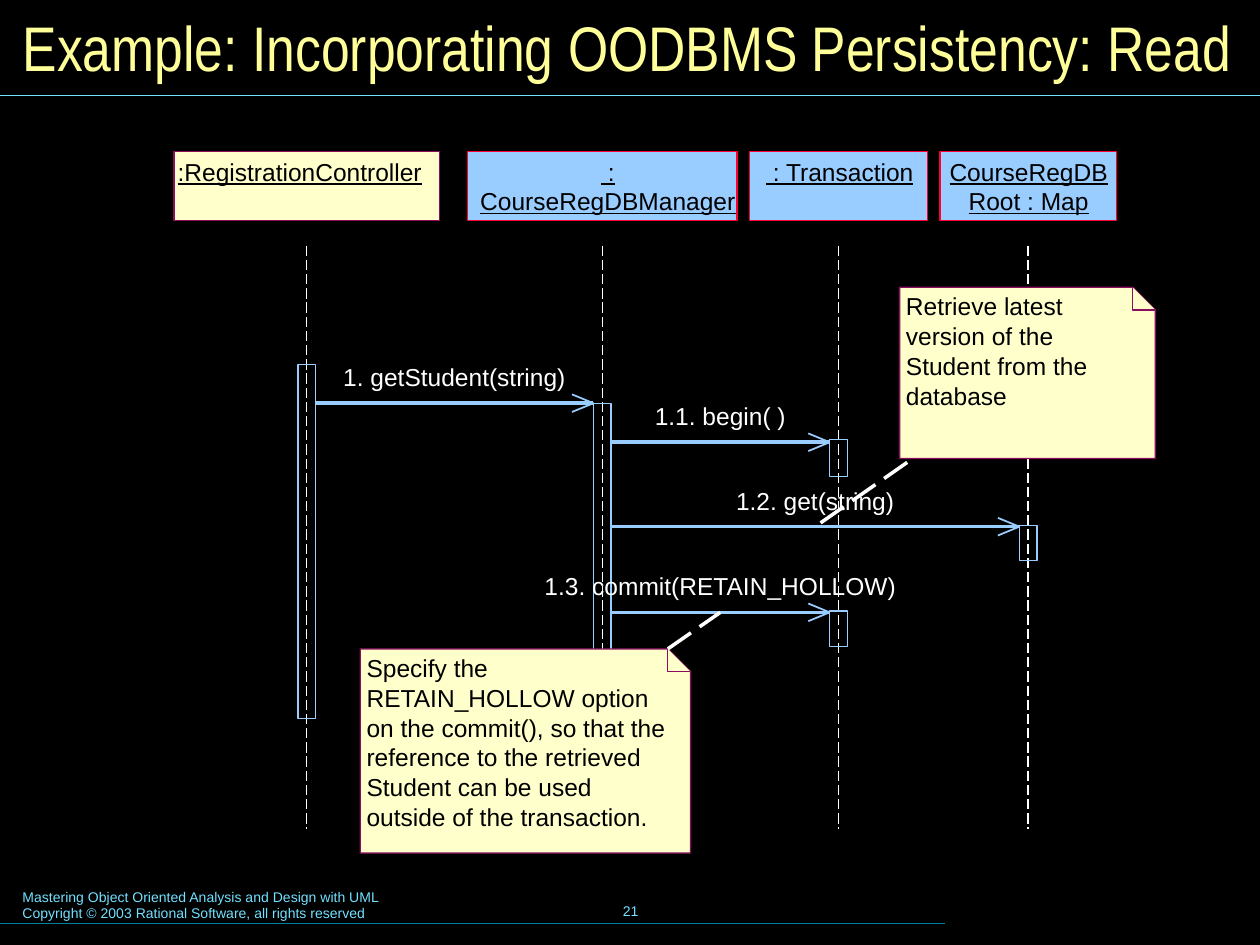
from dataclasses import dataclass

from lxml.etree import SubElement
from pptx import Presentation
from pptx.dml.color import RGBColor as RGB
from pptx.enum.dml import MSO_LINE as Dash
from pptx.enum.shapes import MSO_CONNECTOR as Connector, MSO_SHAPE as Preset
from pptx.enum.text import MSO_ANCHOR as Anchor, MSO_AUTO_SIZE as AutoSize, PP_ALIGN as Align
from pptx.oxml.ns import qn
from pptx.util import Inches, Pt

COLUMNS, ROWS = 100, 75


@dataclass(frozen=True)
class Theme:
    """Colours, fonts and type sizes of the slide."""
    back: str = "000000"
    title: str = "FFFF99"
    accent: str = "73E1FF"
    rule: str = "007E9F"
    paper: str = "FFFFCC"
    border: str = "8A0E5E"
    sky: str = "99CCFF"
    alert: str = "FF0033"
    ink: str = "000000"
    light: str = "FFFFFF"
    title_font: str = "Arial Narrow"
    body_font: str = "Arial"
    title_size: int = 36
    body_size: int = 14
    small_size: int = 8
    leading: int = 17


@dataclass(frozen=True)
class Box:
    """A region in grid columns and rows."""
    left: float
    top: float
    width: float
    height: float

    def inner(self, left, top, width, height):
        """Return a box placed relative to this one."""
        return Box(self.left + left, self.top + top, width, height)

    @property
    def lengths(self):
        """Return the four lengths for python-pptx."""
        return [grid(n) for n in (self.left, self.top, self.width, self.height)]


THEME = Theme()
PARTICIPANTS = [
    (":RegistrationController", 0, 21.1, THEME.paper, THEME.border, Align.LEFT, 0.3),
    (" :\nCourseRegDBManager", 23.3, 21.4, THEME.sky, THEME.alert, Align.CENTER, 0.9),
    (" : Transaction", 45.7, 14.1, THEME.sky, THEME.alert, Align.CENTER, 0.2),
    ("CourseRegDB\nRoot : Map", 60.8, 14, THEME.sky, THEME.alert, Align.CENTER, 0.1),
]
ACTIVATIONS = [(0, 16.9, 28.1), (1, 20, 22.1), (2, 22.9, 2.9), (2, 36.5, 2.8), (3, 29.7, 2.8)]
MESSAGES = [
    ("1. getStudent(string)", 0, 1, 20),
    ("1.1. begin( )", 1, 2, 23.1),
    ("1.2. get(string)", 1, 3, 29.8),
    ("1.3. commit(RETAIN_HOLLOW)", 1, 2, 36.6),
]


def grid(units):
    """Convert grid units to a length."""
    return Inches(units / 10)


def write(frame, text, *, color, size=THEME.body_size, font=THEME.body_font, align=Align.LEFT,
          anchor=Anchor.TOP, margins=(0, 0, 0, 0), wrap=False, underline=None, leading=None):
    """Fill a text frame with formatted paragraphs."""
    frame.auto_size = AutoSize.NONE
    frame.word_wrap = wrap
    frame.vertical_anchor = anchor
    frame.margin_left, frame.margin_top, frame.margin_right, frame.margin_bottom = map(grid, margins)
    frame.text = text
    for paragraph in frame.paragraphs:
        paragraph.alignment = align
        if leading:
            paragraph.line_spacing = Pt(leading)
        for run in paragraph.runs:
            run.font.name, run.font.size = font, Pt(size)
            run.font.color.rgb = RGB.from_string(color)
            run.font.underline = underline


def label(slide, box, text, **style):
    """Add a text box."""
    write(slide.shapes.add_textbox(*box.lengths).text_frame, text, **style)


def paint(shape, line, fill=None):
    """Give a shape its hairline and fill."""
    shape.shadow.inherit = False
    shape.line.color.rgb = RGB.from_string(line)
    shape.line.width = Pt(0)
    if fill:
        shape.fill.solid()
        shape.fill.fore_color.rgb = RGB.from_string(fill)
    else:
        shape.fill.background()


def stroke(slide, start, end, color, width=0, dash=None):
    """Draw a straight line between two grid points."""
    line = slide.shapes.add_connector(Connector.STRAIGHT, *map(grid, (*start, *end)))
    line.line.color.rgb = RGB.from_string(color)
    line.line.width = Pt(width)
    if dash:
        line.line.dash_style = dash
    SubElement(line.element.spPr, qn("a:effectLst"))


def outline(slide, points, closed):
    """Draw a paper-coloured polygon through grid points."""
    first, *rest = [(grid(x), grid(y)) for x, y in points]
    builder = slide.shapes.build_freeform(*first)
    builder.add_line_segments(rest, close=closed)
    paint(builder.convert_to_shape(), THEME.border, THEME.paper)


def title_band(slide, box, text):
    """Place the title above its full-width rule."""
    title = slide.shapes.title
    title.left, title.top, title.width, title.height = box.inner(0.8, 0.8, box.width - 1.6, 5.8).lengths
    write(title.text_frame, text, color=THEME.title, size=THEME.title_size, font=THEME.title_font,
          anchor=Anchor.MIDDLE, margins=(1, 0.5, 1, 0.5), wrap=True)
    bottom = box.top + box.height
    stroke(slide, (box.left, bottom), (box.left + box.width, bottom), THEME.accent, 0.75)


def footer(slide, box, credit, number):
    """Place the credit, slide number and lower rule."""
    style = dict(color=THEME.accent, size=THEME.small_size, margins=(1, 0.5, 1, 0.5))
    label(slide, box.inner(0.8, 0.2, 51, 3.7), credit, wrap=True, **style)
    label(slide, box.inner(34.2, 0, 31.7, 5), number, align=Align.CENTER, anchor=Anchor.MIDDLE, **style)
    rule = box.top + 3.5
    stroke(slide, (box.left, rule), (box.left + box.width * 0.75, rule), THEME.rule, 0.75)


def participant(slide, box, text, fill, border, align, indent):
    """Draw a participant with its lifeline and return the lifeline column."""
    head = slide.shapes.add_shape(Preset.RECTANGLE, *box.inner(0, 0, box.width, 5.5).lengths)
    paint(head, border, fill)
    write(head.text_frame, text, color=THEME.ink, align=align, underline=True,
          margins=(indent, 0.4, 0, 0), leading=THEME.leading)
    center = box.left + box.width / 2
    stroke(slide, (center, box.top + 7.5), (center, box.top + box.height), THEME.light, 0.75, Dash.LONG_DASH)
    return center


def message(slide, start, end, row, text):
    """Draw a labelled call arrow and return its middle point."""
    stroke(slide, (start, row), (end, row), THEME.sky)
    for spread in (-0.7, 0.7):
        stroke(slide, (end, row), (end - 1.7, row + spread), THEME.sky, 1)
    middle = (start + end) / 2
    label(slide, Box(middle - 14, row - 3.25, 28, 2.3), text, color=THEME.light, align=Align.CENTER)
    return middle, row


def note(slide, box, text, text_width, fold=1.8):
    """Draw a note with a folded corner."""
    left, top, right, bottom = box.left, box.top, box.left + box.width, box.top + box.height
    crease = right - fold
    outline(slide, [(left, top), (crease, top), (right, top + fold), (right, bottom), (left, bottom)], True)
    outline(slide, [(crease, top), (crease, top + fold), (right, top + fold)], False)
    label(slide, box.inner(0.5, 0.3, text_width, box.height - 0.6), text, color=THEME.ink,
          wrap=True, leading=THEME.leading)


def sequence(slide, box):
    """Draw the participants, activations, messages and notes."""
    centers = [participant(slide, box.inner(left, 0, width, 53.8), text, *style)
               for text, left, width, *style in PARTICIPANTS]
    for who, top, height in ACTIVATIONS:
        bar = Box(centers[who] - 0.7, box.top + top, 1.4, height)
        paint(slide.shapes.add_shape(Preset.RECTANGLE, *bar.lengths), THEME.sky)
    middles = [message(slide, centers[source] + 0.7, centers[target] - 0.7, box.top + row, text)
               for text, source, target, row in MESSAGES]
    latest = box.inner(57.6, 10.8, 20.3, 13.6)
    note(slide, latest, "Retrieve latest version of the Student from the database", 16)
    stroke(slide, (latest.left + 0.6, latest.top + latest.height + 0.3), middles[2],
           THEME.light, dash=Dash.LONG_DASH)
    hollow = box.inner(14.8, 39.5, 26.2, 16.2)
    note(slide, hollow, "Specify the RETAIN_HOLLOW option on the commit(), so that the reference "
         "to the retrieved Student can be used outside of the transaction.", 24.6)
    stroke(slide, (hollow.left + hollow.width - 1.8, hollow.top), middles[3],
           THEME.light, dash=Dash.LONG_DASH)


def main():
    """Build and save the slide."""
    deck = Presentation()
    deck.slide_width, deck.slide_height = grid(COLUMNS), grid(ROWS)
    slide = deck.slides.add_slide(deck.slide_layouts[5])
    slide.background.fill.solid()
    slide.background.fill.fore_color.rgb = RGB.from_string(THEME.back)
    title_band(slide, Box(0, 0, COLUMNS, 7.6), "Example: Incorporating OODBMS Persistency: Read")
    sequence(slide, Box(13.8, 12, 77.9, 55.7))
    footer(slide, Box(0, 69.8, COLUMNS, 5.2),
           "Mastering Object Oriented Analysis and Design with UML\n"
           "Copyright © 2003 Rational Software, all rights reserved", "21")
    deck.save("out.pptx")


if __name__ == "__main__":
    main()
